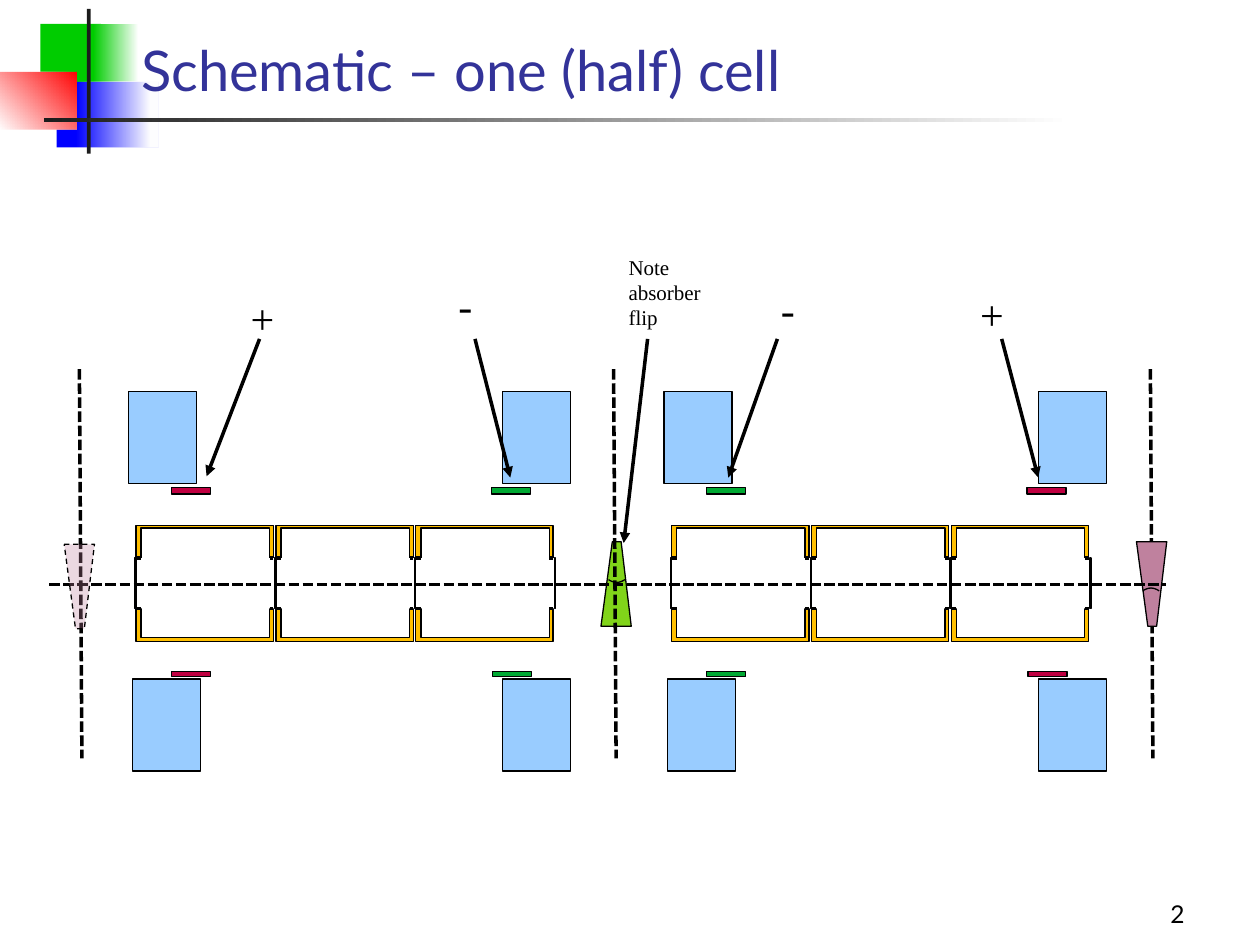
import lxml.etree
import pptx
import pptx.dml.color
import pptx.enum.dml
import pptx.enum.shapes
import pptx.enum.text
import pptx.oxml.ns
import pptx.util

Inches = pptx.util.Inches
DASH = pptx.enum.dml.MSO_LINE
ANCHOR = pptx.enum.text.MSO_ANCHOR
ALIGN = pptx.enum.text.PP_ALIGN

BLACK, WHITE, DARK = "000000", "FFFFFF", "1C1C1C"
BLUE, ORANGE, RED, GREEN = "99CCFF", "FFBF00", "BF0041", "00A933"
LIME, MAUVE, TITLE_COLOUR = "81D41A", "BF819E", "333399"
TITLE_FONT, LABEL_FONT = "Lato", "Times New Roman"
CELL_PITCH, CAVITY_PITCH = 4.25, 1.11
APERTURE_TOP, APERTURE_HEIGHT = 4.43, 0.4
AXIS = 4.64


def colour(value):
    return pptx.dml.color.RGBColor.from_string(value)


def add_child(parent, tag, **attributes):
    return lxml.etree.SubElement(parent, pptx.oxml.ns.qn(tag), **attributes)


def set_alpha(element, percent):
    """Make the colour inside a fill or gradient stop partly transparent."""
    rgb = next(element.iter(pptx.oxml.ns.qn("a:srgbClr")))
    add_child(rgb, "a:alpha", val=str(percent * 1000))


class Drawing:
    """Style and target for the elements of the current slide."""

    def __init__(self, slide):
        self.slide = slide
        self.shapes = slide.shapes

    def start_group(self):
        self.shapes = self.slide.shapes.add_group_shape().shapes

    def end_group(self):
        self.shapes = self.slide.shapes

    def outline(self, line, dash=None):
        line.color.rgb = colour(BLACK)
        line.width = 0
        if dash:
            line.dash_style = dash

    def paint(self, shape, fill=None, outlined=True, dash=None):
        shape.shadow.inherit = False
        if fill:
            shape.fill.solid()
            shape.fill.fore_color.rgb = colour(fill)
        else:
            shape.fill.background()
        if outlined:
            self.outline(shape.line, dash)
        else:
            shape.line.fill.background()

    def box(self, left, top, width, height, fill, outlined=True):
        shape = self.shapes.add_shape(
            pptx.enum.shapes.MSO_SHAPE.RECTANGLE,
            Inches(left), Inches(top), Inches(width), Inches(height))
        self.paint(shape, fill, outlined)
        return shape

    def gradient(self, left, top, width, height, stops, angle=180):
        """Add a box with two stops of (position, colour, opacity percent)."""
        shape = self.box(left, top, width, height, WHITE, outlined=False)
        shape.fill.gradient()
        shape.fill.gradient_angle = angle
        stop_elements = shape.element.iter(pptx.oxml.ns.qn("a:gs"))
        for stop, element, (position, value, opacity) in zip(
                shape.fill.gradient_stops, stop_elements, stops):
            stop.color.rgb = colour(value)
            stop.position = position
            if opacity < 100:
                set_alpha(element, opacity)

    def line(self, start, end, dash=None, arrow=False):
        connector = self.shapes.add_connector(
            pptx.enum.shapes.MSO_CONNECTOR.STRAIGHT,
            *(Inches(value) for value in (*start, *end)))
        self.outline(connector.line, dash)
        if arrow:
            add_child(connector.line._get_or_add_ln(), "a:tailEnd", type="triangle")
        add_child(connector.element.spPr, "a:effectLst")

    def outline_shape(self, points, fill=None, dash=None, close=True):
        points = [(Inches(x), Inches(y)) for x, y in points]
        builder = self.shapes.build_freeform(*points[0])
        builder.add_line_segments(points[1:], close=close)
        shape = builder.convert_to_shape()
        self.paint(shape, fill, dash=dash)
        return shape

    def text(self, box, lines, size, font, value=BLACK, inset=(0.1, 0.05),
             anchor=ANCHOR.TOP, align=ALIGN.LEFT):
        frame = self.shapes.add_textbox(*(Inches(n) for n in box)).text_frame
        frame.word_wrap = True
        frame.vertical_anchor = anchor
        frame.margin_left = frame.margin_right = Inches(inset[0])
        frame.margin_top = frame.margin_bottom = Inches(inset[1])
        for index, words in enumerate(lines):
            paragraph = frame.add_paragraph() if index else frame.paragraphs[0]
            paragraph.alignment = align
            run = paragraph.add_run()
            run.text = words
            run.font.size = pptx.util.Pt(size)
            run.font.name = font
            run.font.color.rgb = colour(value)

    def iris(self, left):
        self.box(left, APERTURE_TOP, 0.01, APERTURE_HEIGHT, BLUE)

    def cavity(self, left):
        self.box(left, 4.17, 1.09, 0.92, ORANGE)
        self.box(left + 0.04, 4.19, 1.02, 0.87, WHITE)
        for gap, edge, length in ((0, 0, 0.04), (1.05, 1.06, 0.03)):
            self.box(left + gap, APERTURE_TOP, 0.05, APERTURE_HEIGHT, WHITE, False)
            for y in (APERTURE_TOP, APERTURE_TOP + APERTURE_HEIGHT):
                self.line((left + edge, y), (left + edge + length, y))
        self.iris(left - 0.01)

    def absorber(self, left, wide_y, narrow_y, fill, dash=None):
        return self.outline_shape(
            [(left, wide_y), (left + 0.24, wide_y),
             (left + 0.16, narrow_y), (left + 0.09, narrow_y)], fill, dash)

    def window(self, left, y, depth):
        """Draw the shallow curve across an absorber."""
        steps = [step / 12 for step in range(13)]
        self.outline_shape([(left + 0.13 * t, y + 3 * depth * t * (1 - t))
                            for t in steps], close=False)

    def half_cell(self, offset, left_plate, right_plate):
        for index in range(3):
            self.cavity(1.08 + offset + index * CAVITY_PITCH)
        self.iris(4.4 + offset)
        for left, top in ((3.99, 3.11), (1.02, 3.11), (3.99, 5.39), (1.05, 5.39)):
            self.box(left + offset, top, 0.54, 0.73, BLUE)
        self.line((0.39 + offset, AXIS), (5 + offset, AXIS), DASH.SQUARE_DOT)
        for left, top, height, fill in (
                (1.36, 3.87, 0.05, left_plate), (1.36, 5.33, 0.04, left_plate),
                (3.91, 5.33, 0.04, right_plate), (3.9, 3.87, 0.05, right_plate)):
            self.box(left + offset, top, 0.31, height, fill)

    def boundary(self, x):
        self.line((x, 2.93), (x + 0.02, 6.02), DASH.SQUARE_DOT)

    def corner_ornament(self):
        self.box(0.32, 0.19, 0.48, 0.52, "00CC00", False)
        self.gradient(0.74, 0.19, 0.36, 0.52, ((0, WHITE, 100), (1, "00CC00", 100)))
        self.box(0.45, 0.65, 0.81, 0.52, "0000FF", False)
        self.gradient(0.61, 0.65, 0.65, 0.52, ((0.1, WHITE, 100), (1, WHITE, 0)))
        self.box(0, 0.57, 0.61, 0.46, "FF0000", False)
        self.box(0.69, 0.07, 0.03, 1.15, DARK, False)
        self.gradient(0, 0.57, 0.61, 0.46, ((0, WHITE, 100), (1, WHITE, 0)), 45)
        self.gradient(0.35, 0.94, 8.15, 0.03, ((0, WHITE, 100), (1, DARK, 100)))


def main():
    presentation = pptx.Presentation()
    presentation.slide_width, presentation.slide_height = Inches(10), Inches(7.5)
    drawing = Drawing(presentation.slides.add_slide(presentation.slide_layouts[6]))

    drawing.corner_ornament()
    drawing.text((1.12, -0.08, 8.52, 1.25), ["Schematic – one (half) cell"], 32,
                 TITLE_FONT, TITLE_COLOUR, (0, 0), ANCHOR.MIDDLE)

    drawing.start_group()
    drawing.boundary(0.63)
    drawing.absorber(4.77, 4.97, 4.3, LIME)
    drawing.window(4.83, 4.6, 0.03)
    drawing.half_cell(0, RED, GREEN)
    faded = drawing.absorber(0.51, 4.32, 4.99, MAUVE, DASH.DASH)
    set_alpha(faded.element.spPr, 30)

    drawing.start_group()
    drawing.boundary(4.87)
    drawing.boundary(9.13)
    drawing.absorber(9.02, 4.3, 4.97, MAUVE)
    drawing.window(9.07, 4.69, -0.03)
    drawing.half_cell(CELL_PITCH, GREEN, RED)
    drawing.end_group()

    for left, top, width, sign in ((1.89, 2.27, 0.67, "+"), (3.54, 2.17, 0.54, "-"),
                                   (6.1, 2.2, 0.54, "-"), (7.68, 2.24, 0.67, "+")):
        drawing.text((left, top, width, 0.88), [sign], 24, LABEL_FONT)
    for start_x, end in ((2.06, (1.64, 3.78)), (3.77, (4.05, 3.79)),
                         (6.17, (5.78, 3.79)), (7.95, (8.24, 3.79)),
                         (5.14, (4.95, 4.31))):
        drawing.line((start_x, 2.69), end, arrow=True)
    drawing.text((4.89, 1.97, 0.82, 1.23), ["Note", "absorber", "flip"], 12, LABEL_FONT)
    drawing.text((7.42, 6.92, 2.08, 0.5), ["2"], 14, TITLE_FONT,
                 anchor=ANCHOR.BOTTOM, align=ALIGN.RIGHT)
    presentation.save("out.pptx")


if __name__ == "__main__":
    main()
